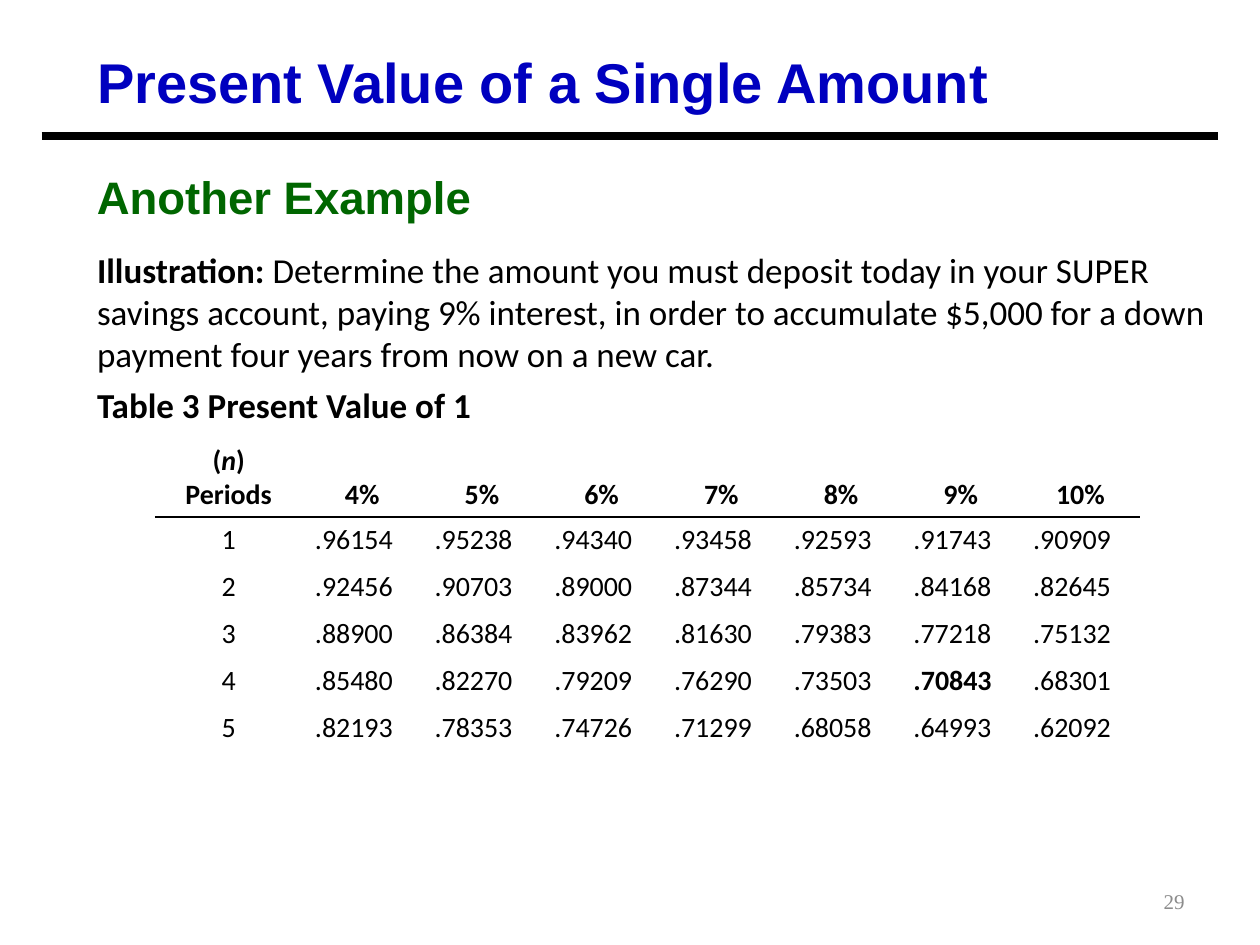
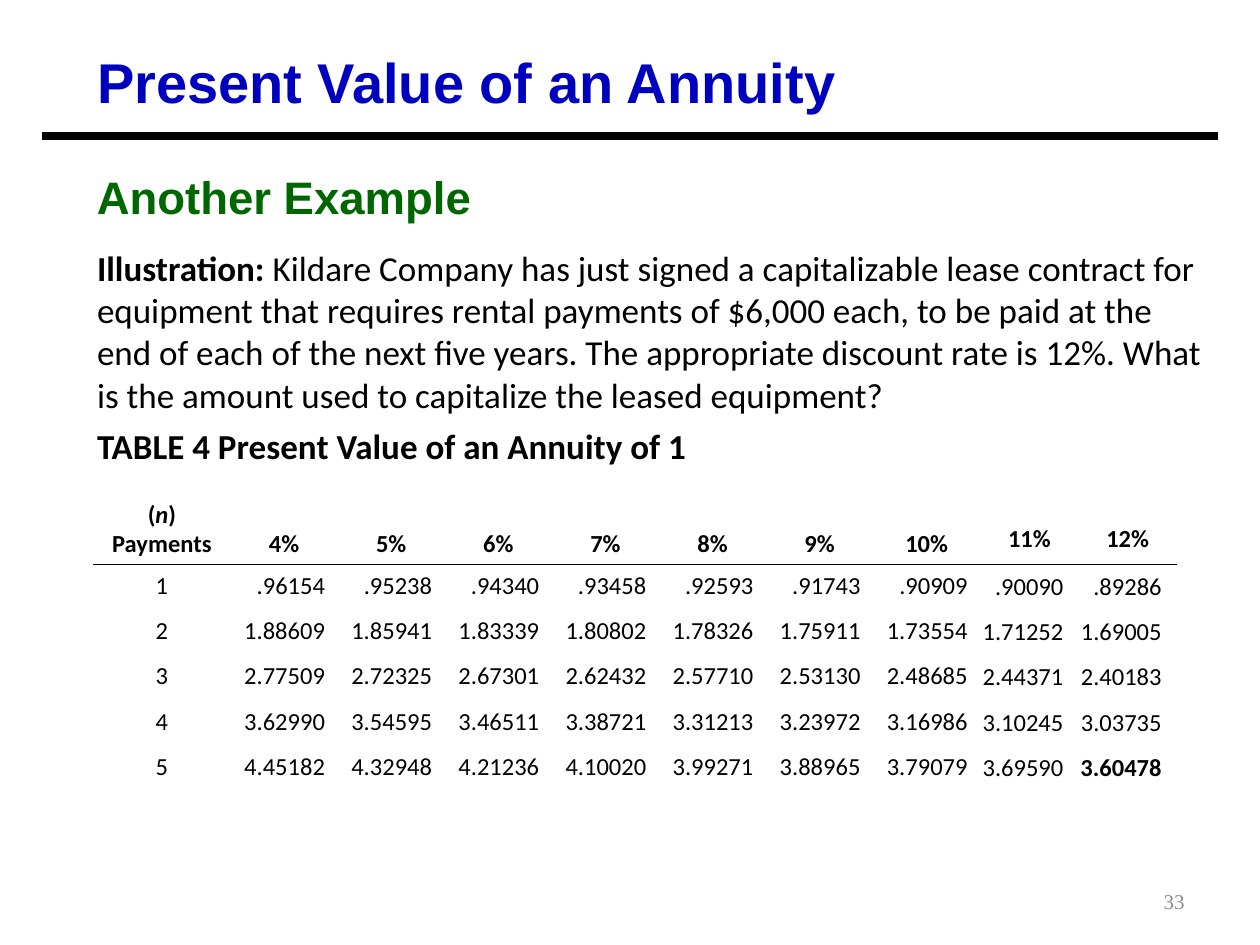
from lxml import etree
from pptx import Presentation
from pptx.dml.color import RGBColor
from pptx.enum.shapes import MSO_CONNECTOR
from pptx.enum.text import MSO_ANCHOR as Anchor, MSO_AUTO_SIZE as AutoSize, PP_ALIGN as Align
from pptx.oxml import parse_xml
from pptx.oxml.ns import nsdecls, qn
from pptx.util import Inches, Pt

BLUE = RGBColor(0x00, 0x00, 0xBF)
GREEN = RGBColor(0x00, 0x66, 0x00)
BLACK = RGBColor(0x00, 0x00, 0x00)
GRAY = RGBColor(0x8C, 0x8C, 0x8C)

PLAIN_TABLE_STYLE = "{2D5ABB26-0587-4C30-8999-92F81FD0307C}"
LEFT_EDGE = Inches(0.67)
BODY_WIDTH = Inches(9)

SLIDES = [
    {
        "title": "Present Value of a Single Amount",
        "number": "29",
        "illustration": "Determine the amount you must deposit today in your SUPER savings "
                        "account, paying 9% interest, in order to accumulate $5,000 for a "
                        "down payment four years from now on a new car.",
        "caption": "Table 3 Present Value of 1",
        "body_box": (1.92, 1.65),
        "period_name": "Periods",
        "factors": """
            .96154 .95238 .94340 .93458 .92593 .91743 .90909
            .92456 .90703 .89000 .87344 .85734 .84168 .82645
            .88900 .86384 .83962 .81630 .79383 .77218 .75132
            .85480 .82270 .79209 .76290 .73503 .70843 .68301
            .82193 .78353 .74726 .71299 .68058 .64993 .62092""",
        "answer": ".70843",
        "table_corner": (1.23, 3.48),
        "columns": [1.17] + [0.95] * 7,
        "rows": [0.62] + [0.37] * 5,
        "font_size": 16,
        "factor_align": Align.LEFT,
    },
    {
        "title": "Present Value of an Annuity",
        "number": "33",
        "illustration": "Kildare Company has just signed a capitalizable lease contract for "
                        "equipment that requires rental payments of $6,000 each, to be paid "
                        "at the end of each of the next five years. The appropriate discount "
                        "rate is 12%. What is the amount used to capitalize the leased "
                        "equipment?",
        "caption": "TABLE 4 Present Value of an Annuity of 1",
        "body_box": (1.91, 1.92),
        "period_name": "Payments",
        "factors": """
            .96154 .95238 .94340 .93458 .92593 .91743 .90909 .90090 .89286
            1.88609 1.85941 1.83339 1.80802 1.78326 1.75911 1.73554 1.71252 1.69005
            2.77509 2.72325 2.67301 2.62432 2.57710 2.53130 2.48685 2.44371 2.40183
            3.62990 3.54595 3.46511 3.38721 3.31213 3.23972 3.16986 3.10245 3.03735
            4.45182 4.32948 4.21236 4.10020 3.99271 3.88965 3.79079 3.69590 3.60478""",
        "answer": "3.60478",
        "table_corner": (0.74, 3.91),
        "columns": [1.09] + [0.85] * 7 + [0.78] * 2,
        "rows": [0.57] + [0.36] * 5,
        "font_size": 14,
        "factor_align": Align.RIGHT,
    },
]


def add_runs(paragraph, texts, font_name, size, color, bold=()):
    """Add one run per text; bold holds the indexes of the bold ones."""
    for index, text in enumerate(texts):
        run = paragraph.add_run()
        run.text = text
        run.font.name = font_name
        run.font.size = Pt(size)
        run.font.color.rgb = color
        run.font.bold = index in bold
        run.font.italic = text == "n"


def set_margins(holder, left, top, right, bottom):
    holder.margin_left, holder.margin_top = Inches(left), Inches(top)
    holder.margin_right, holder.margin_bottom = Inches(right), Inches(bottom)


presentation = Presentation()
presentation.slide_width = Inches(10)
presentation.slide_height = Inches(7.5)
layout = presentation.slide_layouts[1]

for content in SLIDES:
    slide = presentation.slides.add_slide(layout)

    # Title, rule, subheading and slide number
    title = slide.shapes.title
    title.left, title.top, title.width, title.height = (
        LEFT_EDGE, Inches(0.33), Inches(8.33), Inches(0.61))
    subheading = slide.shapes.add_textbox(LEFT_EDGE, Inches(1.29), BODY_WIDTH, Inches(0.54))
    number = slide.shapes.add_textbox(Inches(7.17), Inches(6.95), Inches(2.33), Inches(0.4))
    for shape, text, font_name, size, color, align, anchor in (
        (title, content["title"], "Arial", 32, BLUE, Align.LEFT, Anchor.TOP),
        (subheading, "Another Example", "Arial", 26, GREEN, Align.LEFT, Anchor.TOP),
        (number, content["number"], "Times New Roman", 12, GRAY, Align.RIGHT, Anchor.MIDDLE),
    ):
        frame = shape.text_frame
        frame.word_wrap = True
        frame.auto_size = AutoSize.NONE
        frame.vertical_anchor = anchor
        paragraph = frame.paragraphs[0]
        paragraph.alignment = align
        add_runs(paragraph, [text], font_name, size, color, bold=() if shape is number else (0,))

    rule = slide.shapes.add_connector(
        MSO_CONNECTOR.STRAIGHT, Inches(0.33), Inches(1.08), Inches(9.67), Inches(1.08))
    rule.line.color.rgb = BLACK
    rule.line.width = Pt(4.5)
    etree.SubElement(rule._element.spPr, qn("a:effectLst"))

    # Illustration and table caption
    body = slide.placeholders[1]
    body_top, body_height = content["body_box"]
    body.left, body.top, body.width, body.height = (
        LEFT_EDGE, Inches(body_top), BODY_WIDTH, Inches(body_height))
    frame = body.text_frame
    frame.auto_size = AutoSize.NONE
    for paragraph, texts in (
        (frame.paragraphs[0], ["Illustration: ", content["illustration"]]),
        (frame.add_paragraph(), [content["caption"]]),
    ):
        paragraph.space_before = Pt(5.5)
        properties = paragraph._p.get_or_add_pPr()
        properties.set("marL", "0")
        properties.set("indent", "0")
        etree.SubElement(properties, qn("a:buNone"))
        add_runs(paragraph, texts, "Calibri", 20, BLACK, bold=(0,))

    # Factor table
    factors = [line.split() for line in content["factors"].strip().splitlines()]
    rates = [f"{rate}%" for rate in range(4, 4 + len(factors[0]))]
    grid = [["", *rates]] + [[str(n), *line] for n, line in enumerate(factors, start=1)]
    left, top = content["table_corner"]
    columns, rows = content["columns"], content["rows"]
    table = slide.shapes.add_table(
        len(rows), len(columns), Inches(left), Inches(top),
        Inches(sum(columns)), Inches(sum(rows))).table
    table.first_row = table.horz_banding = False
    table._tbl.tblPr.find(qn("a:tableStyleId")).text = PLAIN_TABLE_STYLE
    for column, width in zip(table.columns, columns):
        column.width = Inches(width)
    for row, height in zip(table.rows, rows):
        row.height = Inches(height)

    for row_index, line in enumerate(grid):
        for column_index, text in enumerate(line):
            cell = table.cell(row_index, column_index)
            cell.fill.background()
            is_header = row_index == 0
            is_late_rate = column_index > 7
            paragraph = cell.text_frame.paragraphs[0]
            paragraph.alignment = (
                Align.CENTER if is_header or column_index == 0 else content["factor_align"])
            if is_header:
                cell.vertical_anchor = Anchor.BOTTOM
                set_margins(cell, *((0, 0.08, 0, 0.08) if is_late_rate
                                    else (0.12, 0.04, 0.12, 0.04)))
                cell._tc.get_or_add_tcPr().insert(0, parse_xml(
                    f'<a:lnB {nsdecls("a")} w="12700"><a:solidFill>'
                    f'<a:srgbClr val="{BLACK}"/></a:solidFill></a:lnB>'))
            else:
                paragraph.space_after = Pt(3)
                if is_late_rate:
                    set_margins(cell, 0, 0.06, 0.12, 0.06)
            texts = [text] if text else ["(", "n", f") {content['period_name']}"]
            is_bold = is_header or text == content["answer"]
            add_runs(paragraph, texts, "Calibri", content["font_size"], BLACK,
                     bold=range(len(texts)) if is_bold else ())

presentation.save("out.pptx")
